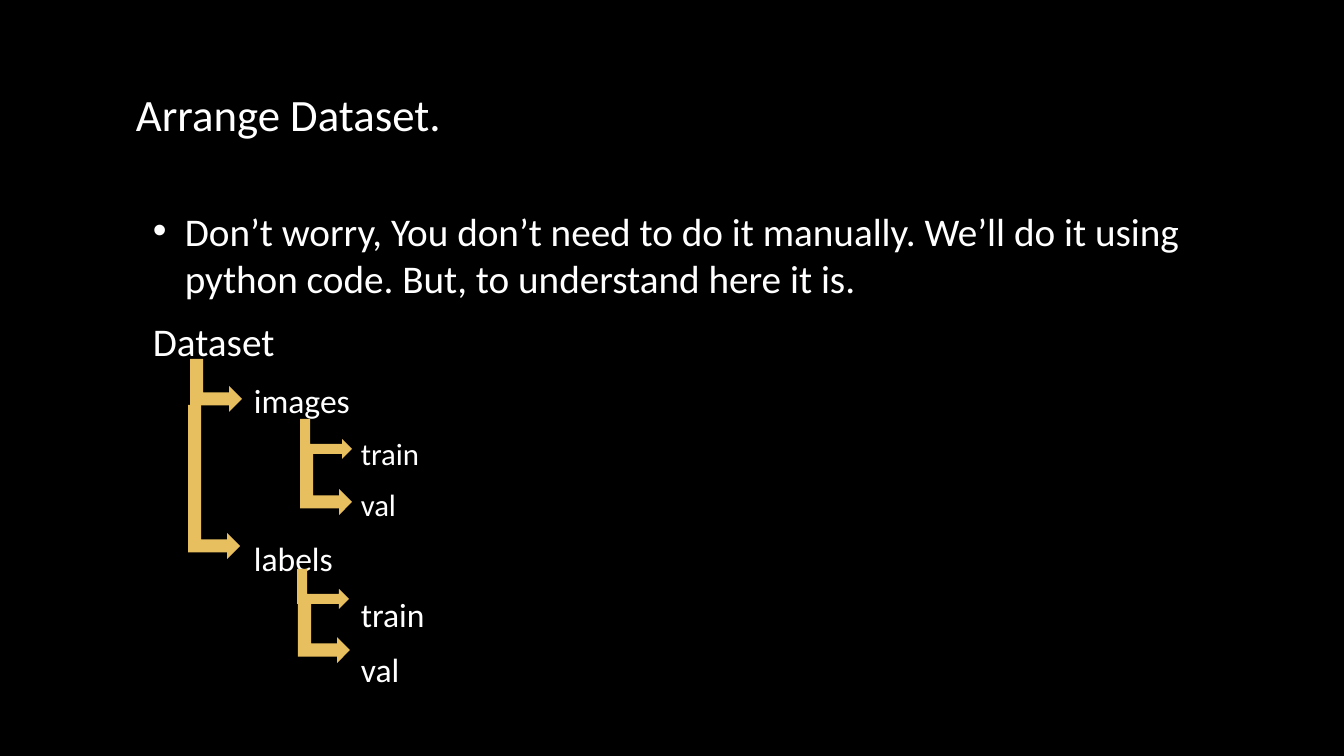
from lxml.etree import SubElement
from pptx import Presentation
from pptx.dml.color import RGBColor as RGB
from pptx.enum.shapes import MSO_SHAPE as Shape
from pptx.enum.text import MSO_ANCHOR as Anchor
from pptx.oxml.ns import qn
from pptx.util import Pt

BLACK = RGB(0x00, 0x00, 0x00)
WHITE = RGB(0xFF, 0xFF, 0xFF)
GOLD = RGB(0xE7, 0xBF, 0x5F)

INTRO = ("Don’t worry, You don’t need to do it manually. "
         "We’ll do it using python code. But, to understand here it is.")
STEPS = [0, 101, 208]
TREE = [("Dataset", 0, 28), ("images", 1, 24), ("train", 2, 22), ("val", 2, 22),
        ("labels", 1, 24), ("train", 2, 24), ("val", 2, 24)]
ARROWS = [(188, 405, 154), (297, 569, 40), (190, 359, 53),
          (298, 599, 64), (300, 419, 40), (300, 451, 64)]


def px(count):
    return round(count * 914400 / 100.8)


def write(para, text, size=28, left=0, hang=0, bullet=None, gap=0, after=0):
    run = para.add_run()
    run.text = text
    run.font.name = "Calibri"
    run.font.size = Pt(size)
    run.font.color.rgb = WHITE
    para.space_before = Pt(gap)
    para.space_after = Pt(after)
    props = para._p.get_or_add_pPr()
    props.set("marL", str(px(left)))
    props.set("indent", str(px(-hang)))
    if bullet:
        SubElement(props, qn("a:buFont"), typeface="Arial")
        SubElement(props, qn("a:buChar"), char=bullet)


class Deck:
    """Holds the slide and its dark style with gold arrows."""

    def __init__(self, wide, high):
        self.show = Presentation()
        self.show.slide_width, self.show.slide_height = px(wide), px(high)
        self.slide = self.show.slides.add_slide(self.show.slide_layouts[6])
        back = self.slide.background.fill
        back.solid()
        back.fore_color.rgb = BLACK

    def box(self, x, y, wide, high, anchor=Anchor.TOP):
        frame = self.slide.shapes.add_textbox(px(x), px(y), px(wide), px(high)).text_frame
        frame.word_wrap = True
        frame.vertical_anchor = anchor
        return frame

    def title(self, text):
        frame = self.box(126, 68, 1092, 92, Anchor.MIDDLE)
        write(frame.paragraphs[0], text, size=32)

    def body(self, intro, tree):
        frame = self.box(143, 202, 1075, 514)
        write(frame.paragraphs[0], intro, left=32, hang=32, bullet="•", after=6)
        for text, level, size in tree:
            para = frame.add_paragraph()
            para.level = level
            write(para, text, size=size, left=STEPS[level], gap=size * 0.2, after=6)

    def arrow(self, x, y, drop, reach=52):
        shift = (drop - reach) / 2
        shape = self.slide.shapes.add_shape(
            Shape.BENT_UP_ARROW, px(x - shift), px(y + shift), px(drop), px(reach))
        shape.rotation = 90
        shape.shadow.inherit = False
        shape.fill.solid()
        shape.fill.fore_color.rgb = GOLD
        shape.line.fill.background()


def main():
    deck = Deck(1344, 756)
    deck.title("Arrange Dataset.")
    deck.body(INTRO, TREE)
    for spot in ARROWS:
        deck.arrow(*spot)
    deck.show.save("out.pptx")


if __name__ == "__main__":
    main()
